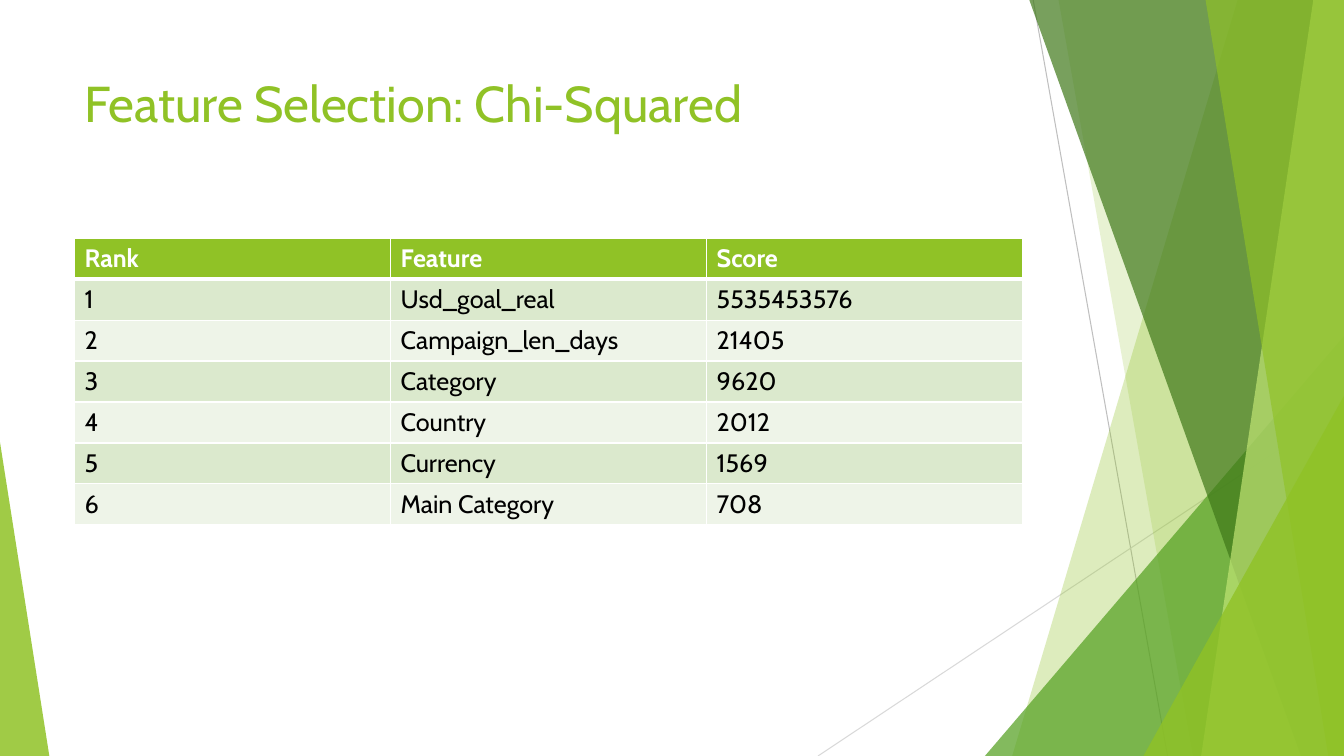
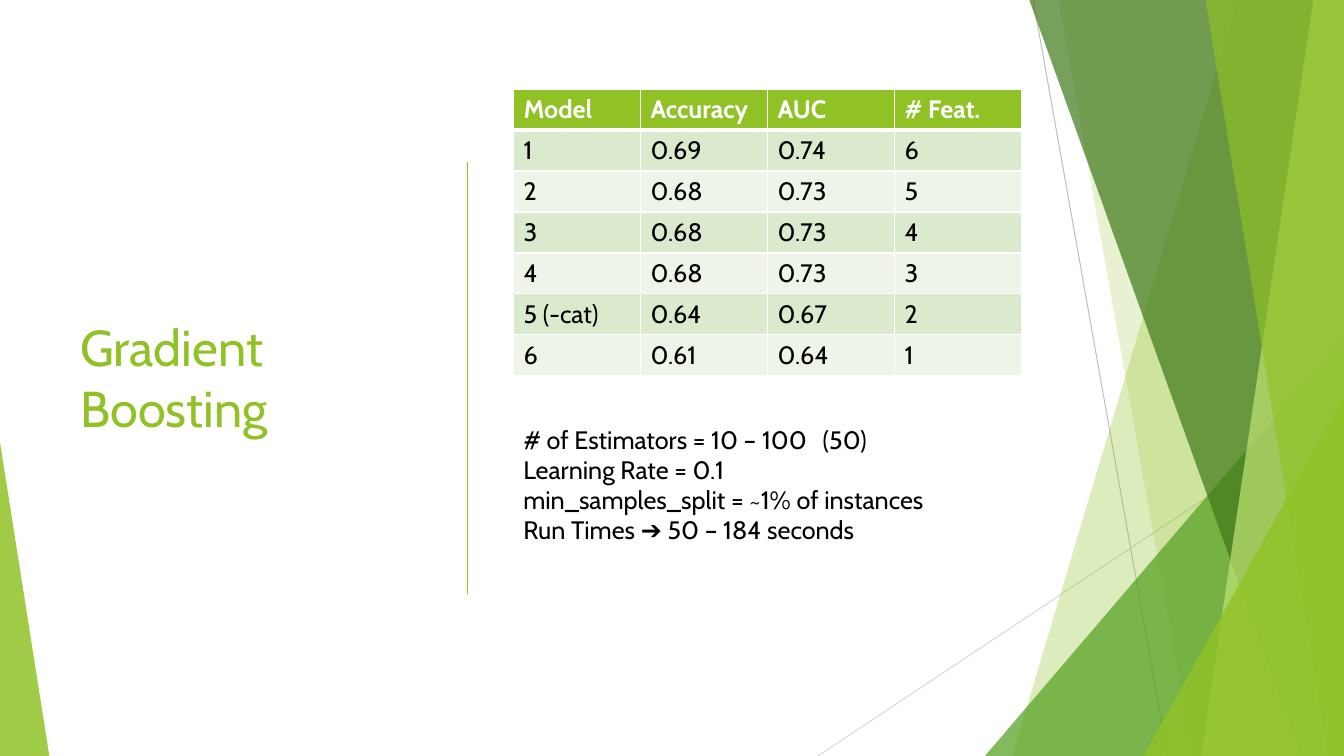
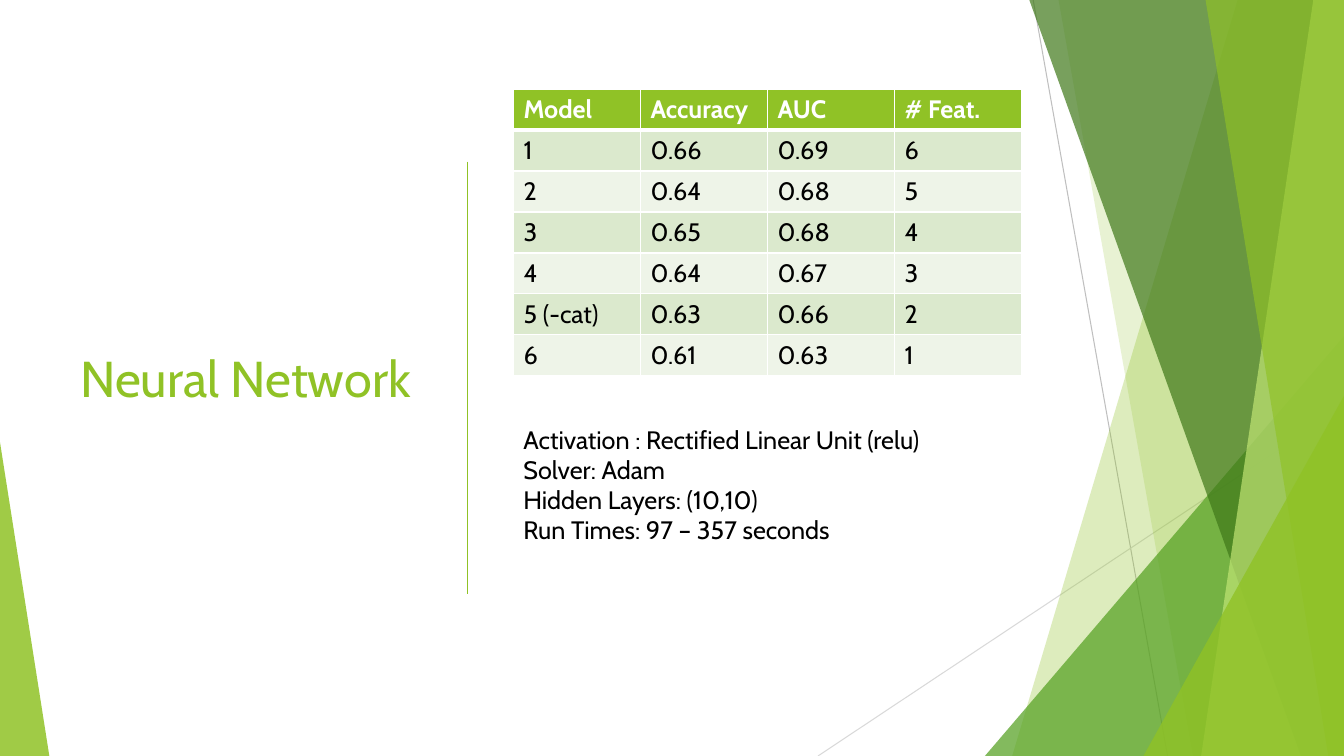
from lxml.etree import SubElement
from pptx import Presentation
from pptx.dml.color import RGBColor
from pptx.enum.shapes import MSO_CONNECTOR as CONN, MSO_SHAPE as SHAPE
from pptx.enum.text import MSO_ANCHOR as ANCHOR
from pptx.oxml.ns import qn
from pptx.util import Pt

PX = 9525  # EMU per px, 96 px to the inch
W, H = 1280, 720
FONT = "Cabin"
GREEN = RGBColor(0x90, 0xC2, 0x26)
MID_GREEN = RGBColor(0x54, 0xA0, 0x21)
DARK_GREEN = RGBColor(0x3F, 0x78, 0x19)
LIME = RGBColor(0xC0, 0xE4, 0x74)
ROW_DARK = RGBColor(0xDB, 0xE9, 0xCD)
ROW_LIGHT = RGBColor(0xEE, 0xF4, 0xE8)
GREY = RGBColor(0xBF, 0xBF, 0xBF)
PALE_GREY = RGBColor(0xD9, 0xD9, 0xD9)
WHITE = RGBColor(0xFF, 0xFF, 0xFF)
BLACK = RGBColor(0, 0, 0)

# Content
CHI_TITLE = "Feature Selection: Chi-Squared"
CHI_ROWS = [
    ("Rank", "Feature", "Score"),
    ("1", "Usd_goal_real", "5535453576"),
    ("2", "Campaign_len_days", "21405"),
    ("3", "Category", "9620"),
    ("4", "Country", "2012"),
    ("5", "Currency", "1569"),
    ("6", "Main Category", "708"),
]
MODEL_HEAD = ("Model", "Accuracy", "AUC", "# Feat.")
MODEL_NAMES = ("1", "2", "3", "4", "5 (-cat)", "6")
MODELS = [
    {
        "title": "Gradient Boosting",
        "accuracy": ("0.69", "0.68", "0.68", "0.68", "0.64", "0.61"),
        "auc": ("0.74", "0.73", "0.73", "0.73", "0.67", "0.64"),
        "notes": ["# of Estimators = 10 – 100\t(50)", "Learning Rate = 0.1",
                  "min_samples_split = ~1% of instances",
                  "Run Times ➔ 50 – 184 seconds"],
    },
    {
        "title": "Neural Network",
        "accuracy": ("0.66", "0.64", "0.65", "0.64", "0.63", "0.61"),
        "auc": ("0.69", "0.68", "0.68", "0.67", "0.66", "0.63"),
        "notes": ["Activation : Rectified Linear Unit (relu)", "Solver: Adam",
                  "Hidden Layers: (10,10)", "Run Times: 97 – 357 seconds"],
    },
]
FEATURE_COUNTS = ("6", "5", "4", "3", "2", "1")

# Backdrop, back to front
RAYS = [(984, 0, 1112, H, GREY), (W, 387, 779, H, PALE_GREY)]
FACETS = [  # band: top x, bottom x; triangle: left, top, width, apex
    ("band", (1179, 964), GREEN, 30),
    ("band", (1008, 1136), GREEN, 20),
    ("triangle", (938, 320, 342, 1), MID_GREEN, 72),
    ("band", (980, 1239), DARK_GREEN, 70),
    ("band", (1251, 1144), LIME, 70),
    ("band", (1148, 1265), GREEN, 65),
    ("triangle", (1089, 377, 191, 1), GREEN, 80),
    ("triangle", (0, 421, 47, 0), GREEN, 85),
]
TAB_STOP = 285
ROW_H = 39


def px(*lengths):
    return [n * PX for n in lengths]


def add_line(s, x1, y1, x2, y2, color, width):
    line = s.shapes.add_connector(CONN.STRAIGHT, *px(x1, y1, x2, y2))
    line.line.color.rgb = color
    line.line.width = Pt(width)
    SubElement(line._element.spPr, qn("a:effectLst"))


def add_facet(s, kind, geometry, color, opacity):
    if kind == "band":
        top_x, bottom_x = geometry
        outline = s.shapes.build_freeform(top_x, -1, scale=PX)
        outline.add_line_segments([(W, -1), (W, H), (bottom_x, H)])
        sp = outline.convert_to_shape()
    else:
        x, y, w, apex = geometry
        sp = s.shapes.add_shape(SHAPE.ISOSCELES_TRIANGLE, *px(x, y, w, H - y))
        sp.adjustments[0] = apex
    sp.shadow.inherit = False
    sp.line.fill.background()
    sp.fill.solid()
    sp.fill.fore_color.rgb = color
    rgb = sp._element.spPr.find(qn("a:solidFill"))[0]
    SubElement(rgb, qn("a:alpha")).set("val", str(opacity * 1000))


def style(p, size, color, bold=False):
    for r in p.runs:
        r.font.name = FONT
        r.font.size = Pt(size)
        r.font.color.rgb = color
        r.font.bold = bold


def add_text(s, box, lines, size, color, anchor=ANCHOR.TOP):
    tf = s.shapes.add_textbox(*px(*box)).text_frame
    tf.word_wrap = True
    tf.vertical_anchor = anchor
    tf.text = "\n".join(lines)
    for p in tf.paragraphs:
        if "\t" in p.text:
            tabs = SubElement(p._p.get_or_add_pPr(), qn("a:tabLst"))
            tab = SubElement(tabs, qn("a:tab"))
            tab.set("pos", str(TAB_STOP * PX))
            tab.set("algn", "l")
        style(p, size, color)


def set_borders(cell, top, bottom):
    tc_pr = cell._tc.get_or_add_tcPr()
    sides = [("L", 1), ("R", 1), ("T", top), ("B", bottom)]
    for i, (side, width) in enumerate(sides):
        ln = SubElement(tc_pr, qn(f"a:ln{side}"))
        ln.set("w", str(Pt(width)))
        fill = SubElement(ln, qn("a:solidFill"))
        SubElement(fill, qn("a:srgbClr")).set("val", str(WHITE))
        tc_pr.insert(i, ln)  # borders come before the fill


def add_grid(s, x, y, col_w, rows):
    n_rows, n_cols = len(rows), len(rows[0])
    frame = s.shapes.add_table(
        n_rows, n_cols, *px(x, y, col_w * n_cols, ROW_H * n_rows))
    for i, row in enumerate(rows):
        for j, value in enumerate(row):
            cell = frame.table.cell(i, j)
            cell.text = value
            cell.fill.solid()
            cell.fill.fore_color.rgb = (
                GREEN if i == 0 else ROW_DARK if i % 2 else ROW_LIGHT)
            style(cell.text_frame.paragraphs[0], 18,
                  WHITE if i == 0 else BLACK, i == 0)
            set_borders(cell, 3 if i == 1 else 1, 3 if i == 0 else 1)


def new_slide(prs, title, box, anchor):
    s = prs.slides.add_slide(prs.slide_layouts[6])
    for *ends, color in RAYS:
        add_line(s, *ends, color, 0.75)
    for facet in FACETS:
        add_facet(s, *facet)
    add_text(s, box, [title], 36, GREEN, anchor)
    return s


def main():
    prs = Presentation()
    prs.slide_width, prs.slide_height = px(W, H)

    # Feature ranking
    s = new_slide(prs, CHI_TITLE, (71, 64, 902, 138), ANCHOR.TOP)
    add_grid(s, 71, 227, 301, CHI_ROWS)

    # One slide per model
    for model in MODELS:
        s = new_slide(prs, model["title"], (67, 85, 353, 548), ANCHOR.MIDDLE)
        add_line(s, 445, 154, 445, 566, GREEN, 1)
        scores = zip(MODEL_NAMES, model["accuracy"], model["auc"],
                     FEATURE_COUNTS)
        add_grid(s, 489, 85, 121, [MODEL_HEAD, *scores])
        add_text(s, (489, 399, 502, 126), model["notes"], 18, BLACK)

    prs.save("out.pptx")


if __name__ == "__main__":
    main()
